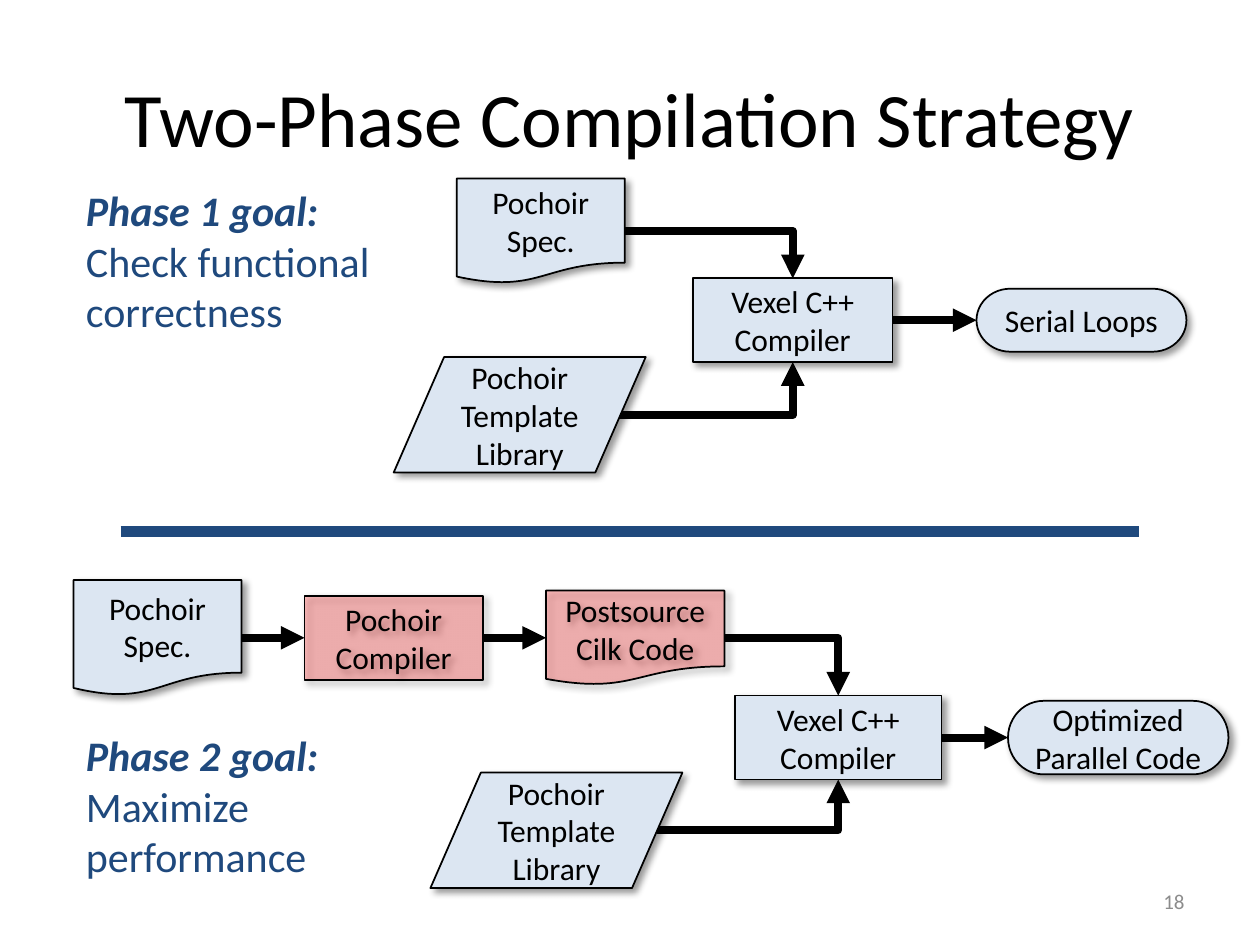
from pptx import Presentation
from pptx.util import Pt
from pptx.dml.color import RGBColor as Rgb
from pptx.enum.shapes import MSO_SHAPE as Kind, MSO_CONNECTOR as Link
from pptx.enum.text import PP_ALIGN as Align, MSO_ANCHOR as Anchor, MSO_AUTO_SIZE as Fit
from pptx.oxml.ns import qn
from lxml.etree import SubElement as Sub

HUES = {"ink": "000000", "navy": "1F497D", "pale": "DCE6F2",
        "red": "FF0000", "gray": "8C8C8C"}
DOC, BOX = Kind.FLOWCHART_DOCUMENT, Kind.FLOWCHART_PROCESS
DATA, END = Kind.FLOWCHART_DATA, Kind.FLOWCHART_TERMINATOR

NODES = [
    (DOC, (261, 102, 96, 60), "pale", "Pochoir\nSpec."),
    (DATA, (225, 204, 144, 66), "pale", "Pochoir Template Library"),
    (BOX, (396, 159, 114, 48), "pale", "Vexel C++ Compiler"),
    (END, (558, 165, 120, 36), "pale", "Serial Loops"),
    (DOC, (42, 331.5, 96, 66), "pale", "Pochoir\nSpec."),
    (BOX, (174, 340.5, 102, 48), "red", "Pochoir\nCompiler"),
    (DOC, (312, 337.5, 102, 54), "red", "Postsource\nCilk Code"),
    (BOX, (420, 397.5, 118, 48), "pale", "Vexel C++ Compiler"),
    (END, (576, 400.5, 126, 42), "pale", "Optimized Parallel Code"),
    (DATA, (246, 441.5, 144, 66), "pale", "Pochoir Template Library"),
]
ARROWS = [
    (357, 132, 453, 159), (354, 237, 453, 207), (510, 183, 558, 183),
    (138, 364.5, 174, 364.5), (276, 364.5, 312, 364.5),
    (414, 364.5, 479, 397.5), (375.5, 474.5, 479, 445.5),
    (538, 421.5, 576, 421.5),
]
GOALS = [
    ((42, 102, 201, 94.5), "Phase 1 goal:", "Check functional correctness"),
    ((42, 413.5, 183, 94.5), "Phase 2 goal:", "Maximize performance"),
]


def put(item, vals):
    for name, val in vals.items():
        setattr(item, name, val)


def tint(color, hue):
    color.rgb = Rgb.from_string(HUES[hue])


def style(run, size, hue, **more):
    put(run.font, {"name": "Calibri", "size": Pt(size), **more})
    tint(run.font.color, hue)


def write(frame, text, size, hue, align):
    put(frame, {"word_wrap": True, "vertical_anchor": Anchor.MIDDLE})
    frame.text = text
    for para in frame.paragraphs:
        para.alignment = align
        style(para.runs[0], size, hue)


def add_text(slide, at, text, size, hue, align):
    box = slide.shapes.add_textbox(*map(Pt, at))
    write(box.text_frame, text, size, hue, align)


def add_goal(slide, at, head, body):
    frame = slide.shapes.add_textbox(*map(Pt, at)).text_frame
    put(frame, {"word_wrap": True, "auto_size": Fit.SHAPE_TO_FIT_TEXT})
    para = frame.paragraphs[0]
    for text, bold in ((head, True), (body, False)):
        run = para.add_run()
        run.text = text
        style(run, 24, "navy", bold=bold, italic=bold)
        if bold:
            para.add_line_break()


def add_shade(shape):
    shape.shadow.inherit = False
    list_ = shape._element.spPr.find(qn("a:effectLst"))
    shade = Sub(list_, qn("a:outerShdw"), blurRad=str(Pt(4)), dist=str(Pt(3)),
                dir="2700000", algn="tl", rotWithShape="0")
    color = Sub(shade, qn("a:srgbClr"), val=HUES["ink"])
    Sub(color, qn("a:alpha"), val="40000")


def add_node(slide, kind, at, hue, text):
    shape = slide.shapes.add_shape(kind, *map(Pt, at))
    shape.fill.solid()
    tint(shape.fill.fore_color, hue)
    if hue == "red":
        color = shape._element.spPr.find(qn("a:solidFill"))[0]
        Sub(color, qn("a:alpha"), val="25000")
    tint(shape.line.color, "ink")
    shape.line.width = Pt(1)
    add_shade(shape)
    write(shape.text_frame, text, 18, "ink", Align.CENTER)


def add_line(slide, kind, ends, hue, width):
    line = slide.shapes.add_connector(kind, *map(Pt, ends))
    tint(line.line.color, hue)
    line.line.width = Pt(width)
    Sub(line._element.spPr, qn("a:effectLst"))
    return line


def add_arrow(slide, ends):
    flat = ends[1] == ends[3]
    line = add_line(slide, Link.STRAIGHT if flat else Link.ELBOW, ends, "ink", 4.5)
    props = line._element.spPr
    if not flat:
        props.find(qn("a:prstGeom")).set("prst", "bentConnector2")
    Sub(props.find(qn("a:ln")), qn("a:tailEnd"), type="triangle")


def main():
    deck = Presentation()
    put(deck, {"slide_width": Pt(720), "slide_height": Pt(540)})
    slide = deck.slides.add_slide(deck.slide_layouts[6])
    add_text(slide, (36, 21.6, 648, 90), "Two-Phase Compilation Strategy",
             44, "ink", Align.CENTER)
    add_text(slide, (516, 500.5, 168, 28.75), "18", 12, "gray", Align.RIGHT)
    for goal in GOALS:
        add_goal(slide, *goal)
    add_line(slide, Link.STRAIGHT, (69, 303.75, 651, 303.75), "navy", 6)
    for ends in ARROWS:
        add_arrow(slide, ends)
    for node in NODES:
        add_node(slide, *node)
    deck.save("out.pptx")


if __name__ == "__main__":
    main()
